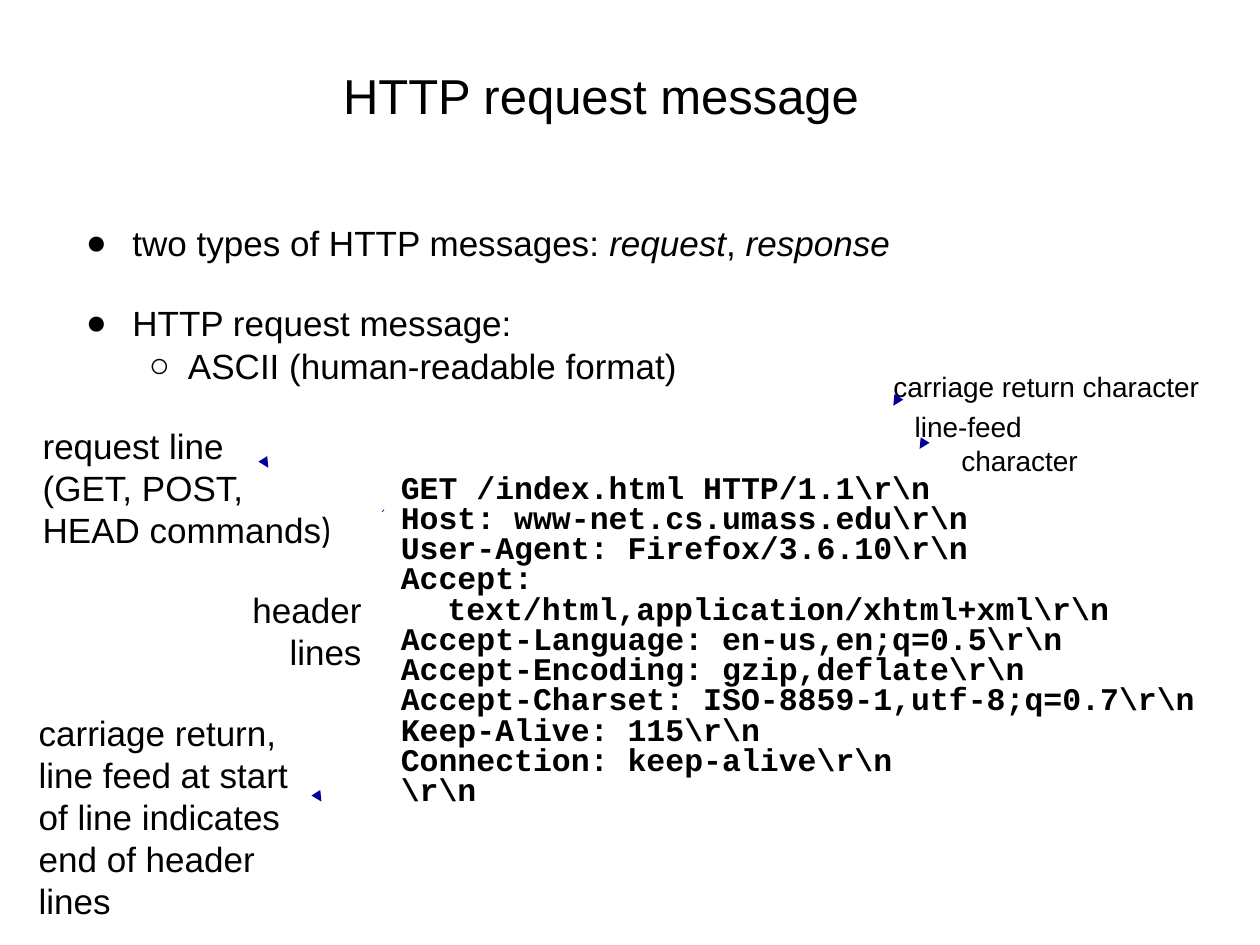
from lxml import etree
from pptx import Presentation
from pptx.dml.color import RGBColor
from pptx.enum.text import MSO_ANCHOR, PP_ALIGN
from pptx.oxml.ns import qn
from pptx.util import Cm, Pt

LEFT, CENTER, RIGHT = PP_ALIGN.LEFT, PP_ALIGN.CENTER, PP_ALIGN.RIGHT
MIDDLE = MSO_ANCHOR.MIDDLE
TITLE_ONLY = 5


def color(hex_code):
    return RGBColor.from_string(hex_code)


class SlideBuilder:
    """Holds the style and the current slide."""
    sans, mono, accent = "Arial", "Courier New", "Cabin"
    ink, blue = "000000", "000099"

    def __init__(self, deck):
        self.page = deck.slides.add_slide(deck.slide_layouts[TITLE_ONLY])

    def style(self, para, size, name=None, bold=False, align=LEFT):
        para.alignment = align
        font = para.font
        font.size, font.name, font.bold = Pt(size), name or self.sans, bold
        font.color.rgb = color(self.ink)

    def title(self, text, left, top, width, height):
        box = self.page.shapes.title
        box.left, box.top = Cm(left), Cm(top)
        box.width, box.height = Cm(width), Cm(height)
        box.text_frame.text = text
        box.text_frame.vertical_anchor = MIDDLE
        self.style(box.text_frame.paragraphs[0], 28, align=CENTER)

    def text(self, lines, left, top, width, height, size=20, spacing=None,
             hanging=False, **font):
        box = self.page.shapes.add_textbox(Cm(left), Cm(top), Cm(width), Cm(height))
        frame = box.text_frame
        frame.word_wrap = True
        frame.text = "\n".join(lines)
        for para in frame.paragraphs:
            if hanging:
                self.indent(para, 0.97, 0.94)
            if spacing:
                para.line_spacing = spacing
            self.style(para, size, **font)
        return frame

    def indent(self, para, margin, hanging):
        props = para._p.get_or_add_pPr()
        props.set("marL", str(Cm(margin)))
        props.set("indent", str(-Cm(hanging)))
        return props

    def bullet(self, para, mark, margin, hanging, before=0):
        props = self.indent(para, margin, hanging)
        para.line_spacing = 0.85
        para.space_before = Pt(before)
        fill = etree.SubElement(props, qn("a:buClr"))
        etree.SubElement(fill, qn("a:srgbClr"), val=self.ink)
        etree.SubElement(props, qn("a:buFont"), typeface=self.sans)
        etree.SubElement(props, qn("a:buChar"), char=mark)
        self.style(para, 20)

    def stroke(self, left, top, width, height, weight, end=(0.05, 0.08),
               arrow=True, flip=False):
        """Draw a short stroke from the top corner of a larger frame."""
        builder = self.page.shapes.build_freeform(0, 0)
        builder.add_line_segments([(Cm(end[0]), Cm(end[1]))], close=False)
        shape = builder.convert_to_shape(Cm(left), Cm(top))
        shape.width, shape.height = Cm(width), Cm(height)
        outline = shape._element.find(".//" + qn("a:path"))
        outline.set("w", str(Cm(width)))
        outline.set("h", str(Cm(height)))
        if flip:
            shape._element.spPr.find(qn("a:xfrm")).set("flipH", "1")
        shape.shadow.inherit = False
        shape.fill.background()
        shape.line.color.rgb = color(self.blue)
        shape.line.width = Pt(weight)
        if arrow:
            etree.SubElement(shape.line._get_or_add_ln(), qn("a:tailEnd"),
                             type="triangle")


def main():
    deck = Presentation()
    deck.slide_width, deck.slide_height = Cm(25.4), Cm(19.05)
    slide = SlideBuilder(deck)
    slide.title("HTTP request message", 1.32, 0.64, 21.59, 2.54)

    # Bulleted introduction
    frame = slide.text(["", "HTTP request message:", "ASCII (human-readable format)"],
                       1.48, 4.47, 21.59, 12.9)
    types, message, detail = frame.paragraphs
    for words, italic in (("two types of HTTP messages: ", False), ("request", True),
                          (", ", False), ("response", True)):
        span = types.add_run()
        span.text, span.font.italic = words, italic
    detail.level = 1
    slide.bullet(types, "●", 0.94, 0.94)
    slide.bullet(message, "●", 0.94, 0.94, before=25.5)
    slide.bullet(detail, "○", 2.06, 0.79, before=4)

    # Labels on the left
    frame = slide.text(["request line", "(GET, POST,", "HEAD commands"],
                       0.61, 8.43, 6.35, 3.63)
    span = frame.paragraphs[-1].add_run()
    span.text, span.font.name = ")", slide.accent
    slide.text(["header", "lines"], 4.82, 11.73, 2.72, 2.79, align=RIGHT)
    slide.text(["carriage return,", "line feed at start", "of line indicates",
                "end of header lines"], 0.53, 14.22, 6.5, 4.5)

    # Request message
    request = [
        "GET /index.html HTTP/1.1",
        "Host: www-net.cs.umass.edu",
        "User-Agent: Firefox/3.6.10",
        "Accept: text/html,application/xhtml+xml",
        "Accept-Language: en-us,en;q=0.5",
        "Accept-Encoding: gzip,deflate",
        "Accept-Charset: ISO-8859-1,utf-8;q=0.7",
        "Keep-Alive: 115",
        "Connection: keep-alive",
        "",
    ]
    slide.text([header + r"\r\n" for header in request], 7.8, 9.45, 16.81, 7.8,
               size=18, spacing=0.8, hanging=True, name=slide.mono, bold=True)

    # Labels for the line-end characters
    slide.text(["carriage return character"], 17.73, 7.32, 6.71, 0.94,
               size=16, hanging=True)
    slide.text(["line-feed character"], 18.16, 8.13, 5.18, 0.94,
               size=16, hanging=True)

    # Arrows and the header-lines mark
    slide.stroke(5.36, 9.35, 2.41, 0.41, 1.5)
    slide.stroke(6.43, 16.08, 1.42, 0.08, 1.5)
    slide.stroke(17.6, 8.1, 0.46, 1.42, 0.75, flip=True)
    slide.stroke(18.36, 8.97, 0.23, 0.71, 0.75, flip=True)
    slide.stroke(7.72, 10.29, 0.41, 5.44, 1.5, end=(0.01, 0.01), arrow=False)

    deck.save("out.pptx")


if __name__ == "__main__":
    main()
